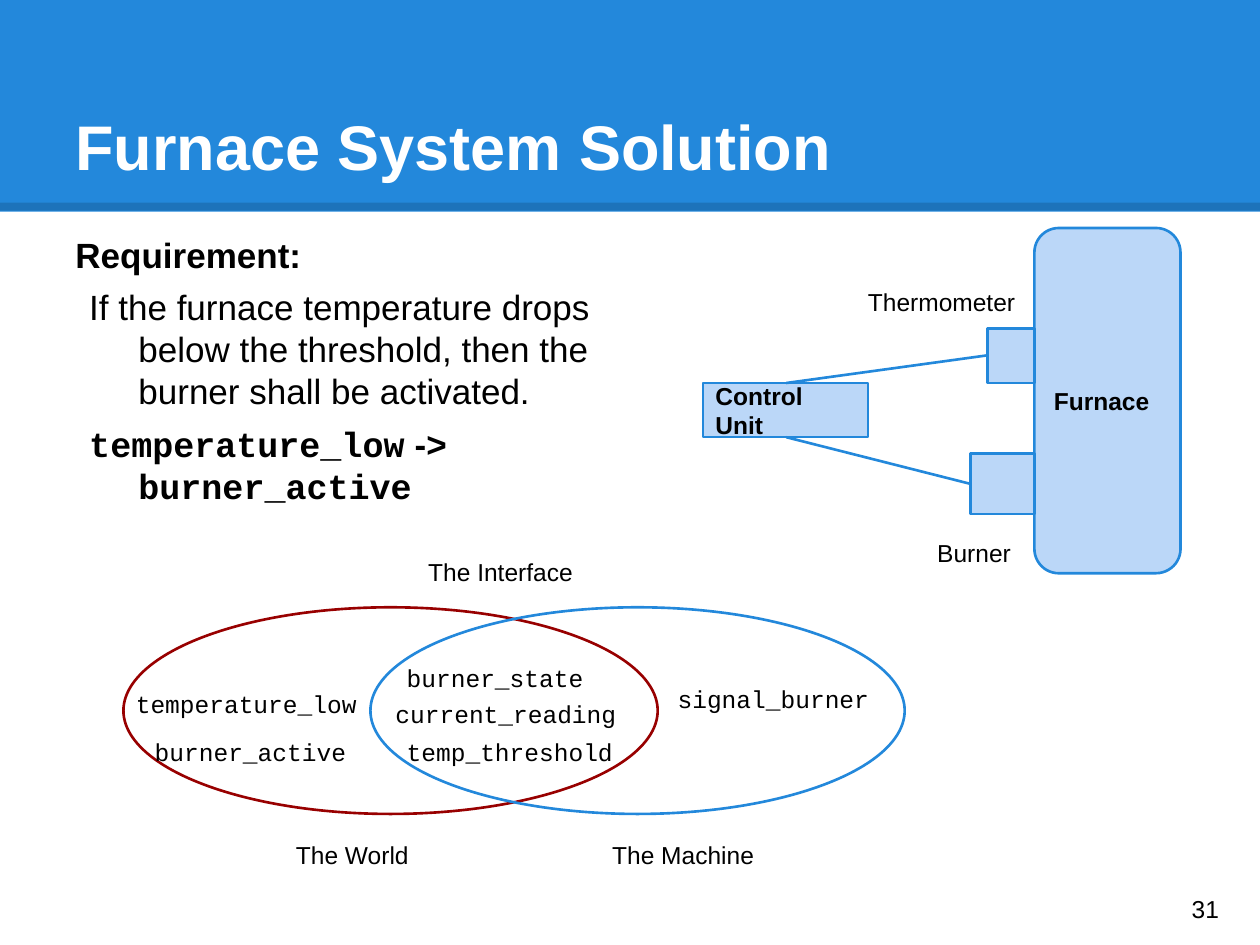
from dataclasses import dataclass

from lxml.etree import SubElement
from pptx import Presentation
from pptx.dml.color import RGBColor
from pptx.enum.shapes import MSO_CONNECTOR, MSO_SHAPE
from pptx.enum.text import MSO_ANCHOR, PP_ALIGN
from pptx.oxml.ns import qn
from pptx.util import Inches, Pt

COLORS = {
    "blue": "2388DB",
    "pale": "BBD7F8",
    "red": "980000",
    "black": "000000",
    "white": "FFFFFF",
}
SANS, MONO = "Arial", "Courier New"


@dataclass
class Span:
    text: str
    font: str = SANS
    size: float = 14
    bold: bool = False
    color: str = "black"


@dataclass
class Block:
    kind: MSO_SHAPE
    left: float
    top: float
    width: float
    height: float
    fill: str | None = "pale"
    line: str | None = "blue"
    label: str = ""


@dataclass
class Label:
    text: str
    left: float
    top: float
    width: float
    height: float = 0.44
    font: str = SANS


def rgb(name: str) -> RGBColor:
    return RGBColor.from_string(COLORS[name])


def prepare_frame(shape, anchor=MSO_ANCHOR.TOP):
    frame = shape.text_frame
    frame.word_wrap = True
    frame.vertical_anchor = anchor
    frame.margin_left = frame.margin_right = Inches(0.1)
    frame.margin_top = frame.margin_bottom = Inches(0.1)
    return frame


def style_font(font, span: Span) -> None:
    font.name = span.font
    font.size = Pt(span.size)
    font.bold = span.bold
    font.color.rgb = rgb(span.color)


def write_paragraph(para, spans: list[Span]) -> None:
    para.alignment = PP_ALIGN.LEFT
    style_font(para.font, spans[0])
    for span in spans:
        run = para.add_run()
        run.text = span.text
        if span.font != spans[0].font:
            run.font.name = span.font


def add_text(page, left: float, top: float, width: float, height: float,
             paragraphs: list[list[Span]], anchor=MSO_ANCHOR.TOP):
    box = page.shapes.add_textbox(Inches(left), Inches(top), Inches(width), Inches(height))
    frame = prepare_frame(box, anchor)
    for index, spans in enumerate(paragraphs):
        para = frame.add_paragraph() if index else frame.paragraphs[0]
        write_paragraph(para, spans)
    return frame


def add_block(page, block: Block) -> None:
    shape = page.shapes.add_shape(block.kind, Inches(block.left), Inches(block.top),
                                  Inches(block.width), Inches(block.height))
    shape.shadow.inherit = False
    if block.fill:
        shape.fill.solid()
        shape.fill.fore_color.rgb = rgb(block.fill)
    else:
        shape.fill.background()
    if block.line:
        shape.line.color.rgb = rgb(block.line)
        shape.line.width = Pt(1.5)
    else:
        shape.line.fill.background()
    if block.label:
        frame = prepare_frame(shape, MSO_ANCHOR.MIDDLE)
        write_paragraph(frame.paragraphs[0], [Span(block.label, bold=True)])


def add_line(page, start: tuple[float, float], end: tuple[float, float],
             color: str = "blue", width: float = 1.5):
    line = page.shapes.add_connector(MSO_CONNECTOR.STRAIGHT, Inches(start[0]), Inches(start[1]),
                                     Inches(end[0]), Inches(end[1]))
    line.line.color.rgb = rgb(color)
    line.line.width = Pt(width)
    SubElement(line._element.spPr, qn("a:effectLst"))
    return line


BLOCKS = [
    Block(MSO_SHAPE.ROUNDED_RECTANGLE, 8.21, 1.81, 1.16, 2.74, label="Furnace"),
    Block(MSO_SHAPE.RECTANGLE, 5.58, 3.04, 1.31, 0.43, label="Control Unit"),
    Block(MSO_SHAPE.RECTANGLE, 7.84, 2.61, 0.37, 0.43),
    Block(MSO_SHAPE.RECTANGLE, 7.7, 3.6, 0.51, 0.48),
    Block(MSO_SHAPE.OVAL, 0.98, 4.82, 4.24, 1.64, fill=None, line="red"),
    Block(MSO_SHAPE.OVAL, 2.94, 4.82, 4.24, 1.64, fill=None),
]
WIRES = [((6.24, 3.04), (7.84, 2.82)), ((6.24, 3.47), (7.7, 3.84))]
LABELS = [
    Label("Thermometer", 6.79, 2.18, 1.6),
    Label("Burner", 7.34, 4.17, 1.1, 0.3),
    Label("The World", 2.25, 6.57, 1.28),
    Label("The Machine", 4.76, 6.57, 1.42),
    Label("The Interface", 3.3, 4.32, 1.45),
    Label("burner_state", 3.13, 5.16, 1.8, 0.3, MONO),
    Label("current_reading", 3.04, 5.45, 2.21, 0.3, MONO),
    Label("temp_threshold", 3.13, 5.75, 2.03, 0.3, MONO),
    Label("signal_burner", 5.28, 5.33, 2.03, 0.34, MONO),
    Label("temperature_low", 0.98, 5.37, 2.03, 0.3, MONO),
    Label("burner_active", 1.13, 5.75, 1.8, 0.3, MONO),
]
REQUIREMENT = [
    [Span("Requirement:", size=20, bold=True)],
    [Span("If the furnace temperature drops below the threshold, "
          "then the burner shall be activated.", size=20)],
    [Span("temperature_low", MONO, 20, True), Span(" -> "), Span("burner_active", MONO)],
]


def main() -> None:
    deck = Presentation()
    deck.slide_width, deck.slide_height = Inches(10), Inches(7.5)
    page = deck.slides.add_slide(deck.slide_layouts[6])

    # Title band with its translucent lower edge
    add_block(page, Block(MSO_SHAPE.RECTANGLE, 0, 0, 10, 1.68, fill="blue", line=None))
    edge = add_line(page, (0, 1.64), (10, 1.64), "black", 4.5)
    color = edge._element.spPr.find(".//" + qn("a:srgbClr"))
    SubElement(color, qn("a:alpha"), val="15000")
    add_text(page, 0.5, 0.3, 9, 1.25,
             [[Span("Furnace System Solution", size=36, bold=True, color="white")]],
             MSO_ANCHOR.BOTTOM)

    # Requirement with hanging indents
    frame = add_text(page, 0.5, 1.75, 4.65, 2.17, REQUIREMENT)
    for para in frame.paragraphs[1:]:
        para.space_before = Pt(6)
        properties = para._p.get_or_add_pPr()
        properties.set("marL", str(Inches(0.5)))
        properties.set("indent", str(Inches(-0.39)))

    # Furnace diagram and the world / machine sets
    for block in BLOCKS:
        add_block(page, block)
    for start, end in WIRES:
        add_line(page, start, end)
    for label in LABELS:
        add_text(page, label.left, label.top, label.width, label.height,
                 [[Span(label.text, label.font)]])

    # Page number
    add_text(page, 9.36, 6.93, 0.6, 0.57, [[Span("31")]], MSO_ANCHOR.MIDDLE)
    deck.save("out.pptx")


if __name__ == "__main__":
    main()
